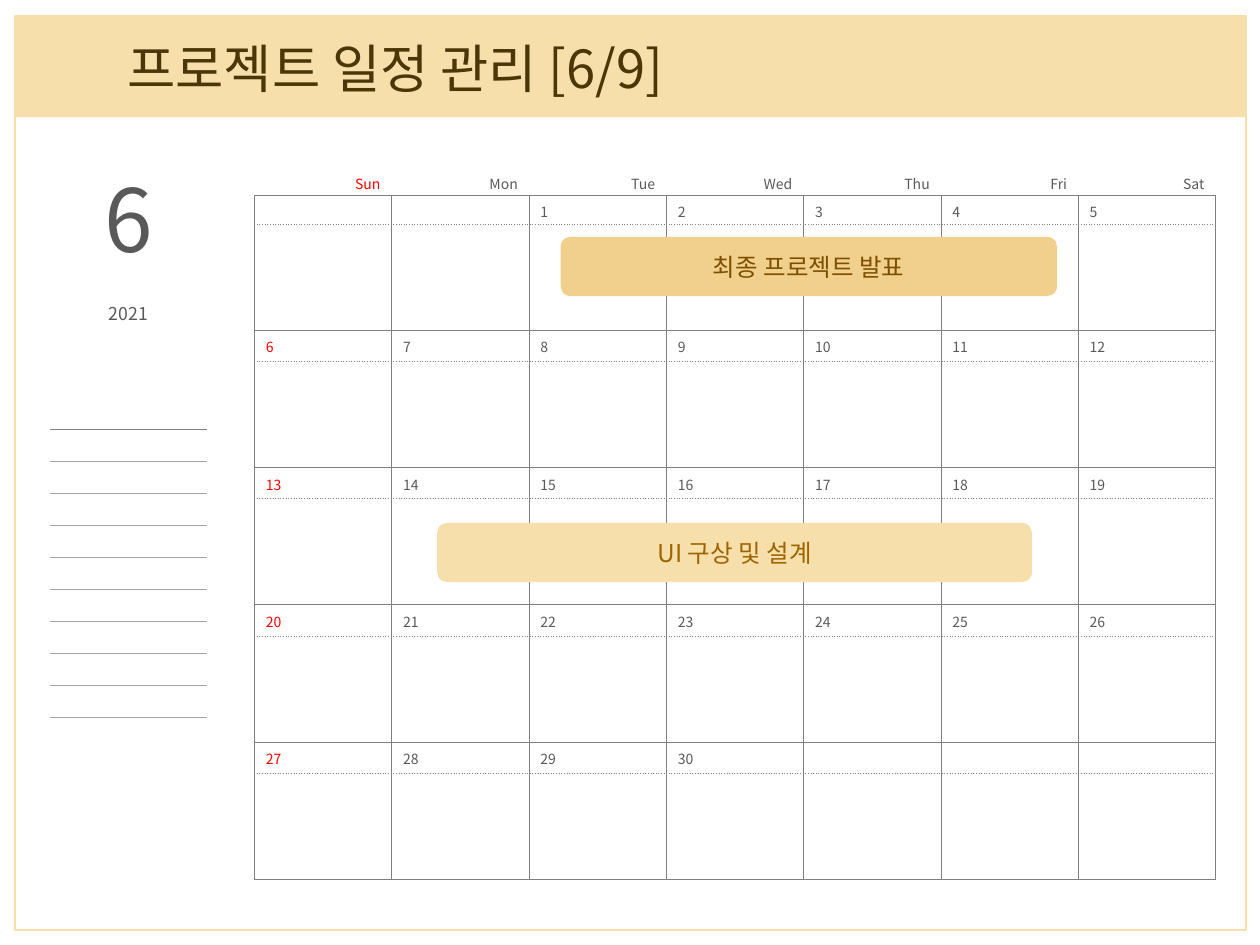
"""Build the June project schedule slide with its calendar and event bars."""
from dataclasses import dataclass
from typing import Any

from lxml import etree
from pptx import Presentation
from pptx import util as u
from pptx.dml.color import RGBColor
from pptx.enum import shapes, text
from pptx.oxml import ns

FONT = "Noto Sans CJK KR"
CREAM, GRAY, LIGHT_GRAY, DARK, RED = "F6DFAA", "808080", "A6A6A6", "595959", "FF0000"
DAYS = ("Sun", "Mon", "Tue", "Wed", "Thu", "Fri", "Sat")
WEEKS, LAST_DAY, FIRST_COLUMN = 5, 30, 2
LEFT, CENTER, RIGHT = text.PP_ALIGN.LEFT, text.PP_ALIGN.CENTER, text.PP_ALIGN.RIGHT
SOLID, DOTTED = (GRAY, "solid"), (GRAY, "sysDot")
RULE = (LIGHT_GRAY, "solid")


@dataclass
class Box:
    x: float
    y: float
    w: float
    h: float

    def emu(self) -> list[int]:
        return [u.Inches(v) for v in (self.x, self.y, self.w, self.h)]


@dataclass
class Event:
    label: str
    box: Box
    fill: str
    color: str


EVENTS = (
    Event("UI 구상 및 설계", Box(3.47, 4.15, 4.72, 0.47), CREAM, "9E6401"),
    Event("최종 프로젝트 발표", Box(4.45, 1.88, 3.94, 0.47), "F1D08D", "7E4F01"),
)


def rgb(value: str) -> RGBColor:
    return RGBColor.from_string(value)


def apply(target: Any, **values: Any) -> None:
    for name, value in values.items():
        setattr(target, name, value)


def write(p: Any, label: str, size: float, color: str, align: Any) -> None:
    p.alignment = align
    r = p.add_run()
    r.text = label
    apply(r.font, size=u.Pt(size), name=FONT, bold=False)
    r.font.color.rgb = rgb(color)
    etree.SubElement(r.font._element, ns.qn("a:ea"), typeface=FONT)


def add_block(s: Any, kind: Any, box: Box, fill: str = "", line: str = "") -> Any:
    sp = s.shapes.add_shape(kind, *box.emu())
    sp.shadow.inherit = False
    if fill:
        sp.fill.solid()
        sp.fill.fore_color.rgb = rgb(fill)
    else:
        sp.fill.background()
    if line:
        sp.line.color.rgb = rgb(line)
        sp.line.width = u.Pt(1.5)
    else:
        sp.line.fill.background()
    return sp


def add_event(s: Any, event: Event) -> None:
    sp = add_block(s, shapes.MSO_SHAPE.ROUNDED_RECTANGLE, event.box, event.fill)
    sp.adjustments[0] = 0.167
    sp.text_frame.vertical_anchor = text.MSO_ANCHOR.MIDDLE
    write(sp.text_frame.paragraphs[0], event.label, 14, event.color, CENTER)


def add_grid(s: Any, box: Box, heights: list[float], columns: int) -> Any:
    table = s.shapes.add_table(len(heights), columns, *box.emu()).table
    apply(table, first_row=False, horz_banding=False)
    for column in table.columns:
        column.width = u.Inches(box.w / columns)
    for row, height in zip(table.rows, heights):
        row.height = u.Inches(height)
    return table


def set_borders(cell: Any, **sides: tuple[str, str]) -> None:
    tc_pr = cell._tc.get_or_add_tcPr()
    for i, side in enumerate("LRTB"):
        ln = etree.Element(ns.qn(f"a:ln{side}"), w=str(u.Pt(0.5)))
        if side in sides:
            color, dash = sides[side]
            fill = etree.SubElement(ln, ns.qn("a:solidFill"))
            etree.SubElement(fill, ns.qn("a:srgbClr"), val=color)
            etree.SubElement(ln, ns.qn("a:prstDash"), val=dash)
        else:
            etree.SubElement(ln, ns.qn("a:noFill"))
        tc_pr.insert(i, ln)


def fill_cell(cell: Any, label: str = "", color: str = DARK, align: Any = LEFT) -> None:
    cell.fill.background()
    apply(cell, margin_left=u.Inches(0.09), margin_right=u.Inches(0.09),
          margin_top=u.Inches(0.05), margin_bottom=0)
    p = cell.text_frame.paragraphs[0]
    if label:
        write(p, label, 8, color, align)
    else:
        etree.SubElement(p._p, ns.qn("a:endParaRPr"), sz="800")


def add_calendar(s: Any) -> None:
    heights = [0.23, 0.23, 0.84] + [0.25, 0.84] * (WEEKS - 1)
    table = add_grid(s, Box(2.02, 1.32, 7.63, 5.66), heights, len(DAYS))
    for col, name in enumerate(DAYS):
        color = DARK if col else RED
        fill_cell(table.cell(0, col), name, color, RIGHT)
        set_borders(table.cell(0, col), B=SOLID)
        for week in range(WEEKS):
            day = week * len(DAYS) + col - FIRST_COLUMN + 1
            date, body = (table.cell(2 * week + i, col) for i in (1, 2))
            fill_cell(date, str(day) if 1 <= day <= LAST_DAY else "", color)
            set_borders(date, L=SOLID, R=SOLID, T=SOLID, B=DOTTED)
            fill_cell(body)
            set_borders(body, L=SOLID, R=SOLID, T=DOTTED, B=SOLID)


def add_notes_lines(s: Any, count: int = 10) -> None:
    box = Box(0.4, 3.41, 1.24, 2.54)
    table = add_grid(s, box, [box.h / count] * count, 1)
    for i in range(count):
        cell = table.cell(i, 0)
        fill_cell(cell)
        sides = {"T": RULE if i else SOLID}
        if i < count - 1:
            sides["B"] = RULE
        set_borders(cell, **sides)


def add_month(s: Any) -> None:
    tf = s.shapes.add_textbox(*Box(0.51, 0.96, 1.02, 1.85).emu()).text_frame
    apply(tf, word_wrap=True, margin_top=u.Inches(0.35))
    write(tf.paragraphs[0], "6", 49.8, DARK, CENTER)
    p = tf.add_paragraph()
    p.space_before = u.Pt(19)
    write(p, "2021", 10.1, DARK, CENTER)


def add_title(s: Any) -> None:
    title = s.shapes.title
    left, top, width, height = Box(0.91, 0.24, 4.72, 0.59).emu()
    apply(title, left=left, top=top, width=width, height=height)
    apply(title.text_frame, word_wrap=False, auto_size=text.MSO_AUTO_SIZE.NONE,
          vertical_anchor=text.MSO_ANCHOR.MIDDLE)
    write(title.text_frame.paragraphs[0], "프로젝트 일정 관리 [6/9]", 30, "4B3608", LEFT)
    title.element.getparent().append(title.element)


def main() -> None:
    prs = Presentation()
    apply(prs, slide_width=u.Inches(10), slide_height=u.Inches(7.5))
    s = prs.slides.add_slide(prs.slide_layouts[5])
    add_block(s, shapes.MSO_SHAPE.RECTANGLE, Box(0.12, 0.13, 9.77, 0.8), fill=CREAM)
    add_block(s, shapes.MSO_SHAPE.RECTANGLE, Box(0.12, 0.13, 9.77, 7.25), line=CREAM)
    add_title(s)
    add_calendar(s)
    add_month(s)
    add_notes_lines(s)
    for event in EVENTS:
        add_event(s, event)
    prs.save("out.pptx")


if __name__ == "__main__":
    main()
